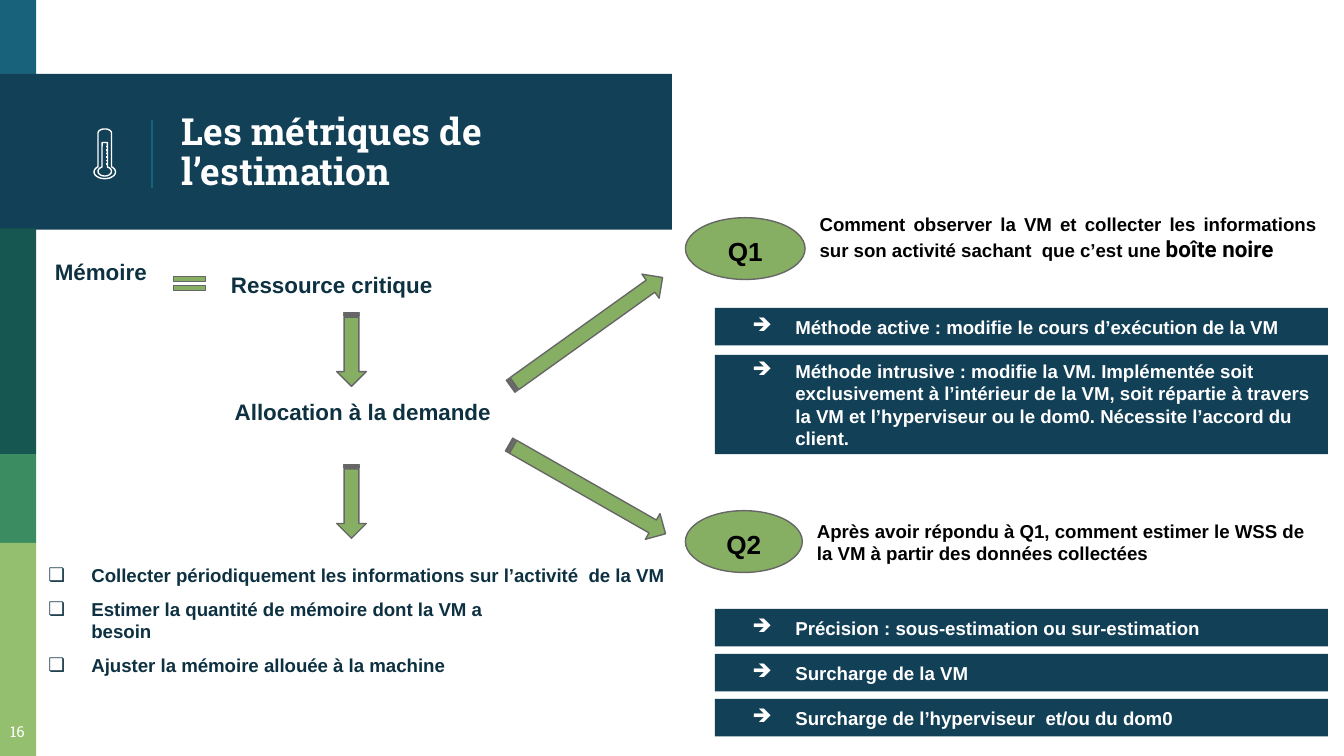
import copy
import math
from dataclasses import dataclass

import lxml.etree
import pptx
import pptx.dml.color
import pptx.enum.shapes
import pptx.enum.text
import pptx.oxml.ns
import pptx.util

SHAPE = pptx.enum.shapes.MSO_SHAPE
ALIGN = pptx.enum.text.PP_ALIGN
ANCHOR = pptx.enum.text.MSO_ANCHOR
qn = pptx.oxml.ns.qn

# The slide is a grid of 100 columns; rows are as high as columns are wide
WIDTH = pptx.util.Inches(10)
CELL = WIDTH / 100
NAVY, INK, TEAL, GREEN = "124057", "0E3142", "18637B", "87AF64"
GREY, WHITE, BLACK = "666666", "FFFFFF", "000000"


@dataclass
class Box:
    col: float
    row: float
    cols: float
    rows: float

    def span(self) -> tuple:
        return tuple(cells(n) for n in (self.col, self.row, self.cols, self.rows))


@dataclass
class Style:
    size: float
    color: str = INK
    font: str = "Arial"
    bold: bool = True
    align: ALIGN = ALIGN.LEFT


@dataclass
class Arrow:
    box: Box
    turn: float


def cells(n: float) -> int:
    return round(n * CELL)


def rgb(code: str) -> pptx.dml.color.RGBColor:
    return pptx.dml.color.RGBColor.from_string(code)


def outline(item, color: str) -> None:
    item.line.color.rgb = rgb(color)
    item.line.width = pptx.util.Pt(0.75)


def dress(run, style: Style) -> None:
    run.font.size = pptx.util.Pt(style.size)
    run.font.name = style.font
    run.font.bold = style.bold
    run.font.color.rgb = rgb(style.color)


def write(item, text: str, style: Style, wrap: bool = True):
    frame = item.text_frame
    frame.text = text
    frame.word_wrap = wrap
    frame.auto_size = pptx.enum.text.MSO_AUTO_SIZE.NONE
    frame.vertical_anchor = ANCHOR.MIDDLE
    frame.margin_left = frame.margin_right = cells(1)
    frame.margin_top = frame.margin_bottom = cells(1)
    for par in frame.paragraphs:
        par.alignment = style.align
        for run in par.runs:
            dress(run, style)
        for gap in par._p.findall(qn("a:br")):
            gap.append(copy.deepcopy(par.runs[0].font._element))
    return frame


def bullet(frame, mark: str, color: str) -> None:
    for par in frame.paragraphs:
        props = par._p.get_or_add_pPr()
        props.set("marL", str(cells(5)))
        props.set("indent", str(cells(-3.2)))
        tint = lxml.etree.SubElement(props, qn("a:buClr"))
        lxml.etree.SubElement(tint, qn("a:srgbClr")).set("val", color)
        lxml.etree.SubElement(props, qn("a:buChar")).set("char", mark)


def shape(slide, kind: SHAPE, box: Box, fill: str, edge: str = ""):
    item = slide.shapes.add_shape(kind, *box.span())
    item.shadow.inherit = False
    item.fill.solid()
    item.fill.fore_color.rgb = rgb(fill)
    if edge:
        outline(item, edge)
    else:
        item.line.fill.background()
    return item


def label(slide, box: Box, text: str, style: Style, wrap: bool = True):
    return write(slide.shapes.add_textbox(*box.span()), text, style, wrap)


def rule(slide, start: tuple, end: tuple, color: str) -> None:
    ends = [cells(n) for n in start + end]
    line = slide.shapes.add_connector(pptx.enum.shapes.MSO_CONNECTOR.STRAIGHT, *ends)
    outline(line, color)
    lxml.etree.SubElement(line.element.spPr, qn("a:effectLst"))


def arc(x: float, y: float, wide: float, high: float, start: float, end: float) -> list:
    turns = [math.radians(start + (end - start) * i / 24) for i in range(25)]
    return [(x + wide * math.cos(t), y + high * math.sin(t)) for t in turns]


def trace(slide, points: list) -> None:
    spots = [(cells(x), cells(y)) for x, y in points]
    build = slide.shapes.build_freeform(*spots[0])
    build.add_line_segments(spots[1:], close=True)
    item = build.convert_to_shape()
    item.shadow.inherit = False
    item.fill.background()
    outline(item, WHITE)


def gauge(slide) -> None:
    """Thermometer: glass, mercury and scale marks."""
    trace(slide, arc(7.8, 9.9, 0.5, 0.3, 0, -180) + arc(7.8, 12.8, 0.8, 0.5, 231, -51))
    trace(slide, [(8, 10.6), (7.6, 10.6)] + arc(7.8, 12.75, 0.5, 0.35, 246, -66))
    for i in range(6):
        row = 10.9 + 0.26 * i
        rule(slide, (7.9, row), (8.05, row), WHITE)


BANDS = [
    (Box(0, 0, 2.7, 5.8), TEAL),
    (Box(0, 5.5, 50, 11.6), NAVY),
    (Box(0, 17, 2.7, 16.8), "165751"),
    (Box(0, 33.8, 2.7, 6.6), "3B8D61"),
    (Box(0, 40.4, 2.7, 15.85), "94BF6E"),
]
ARROWS = [
    Arrow(Box(23.4, 24.9, 5.5, 2.2), 90),
    Arrow(Box(23.4, 36.2, 5.5, 2.2), 90),
    Arrow(Box(36.7, 23.6, 13.9, 2.2), 324.4),
    Arrow(Box(37, 35.3, 13.4, 2.2), 29.7),
]
STEPS = [
    "Collecter périodiquement les informations sur l’activité  de la VM",
    "Estimer la quantité de mémoire dont la VM a\vbesoin",
    "Ajuster la mémoire allouée à la machine",
]
# Row, height and text of each panel
PANELS = [
    (22.9, 2.8, "Méthode active : modifie le cours d’exécution de la VM"),
    (26.4, 7.4, "Méthode intrusive : modifie la VM. Implémentée soit exclusivement "
     "à l’intérieur de la VM, soit répartie à travers la VM et l’hyperviseur "
     "ou le dom0. Nécessite l’accord du client."),
    (45.3, 2.8, "Précision : sous-estimation ou sur-estimation"),
    (48.65, 2.8, "Surcharge de la VM"),
    (52, 2.8, "Surcharge de l’hyperviseur  et/ou du dom0"),
]


def main() -> None:
    deck = pptx.Presentation()
    deck.slide_width, deck.slide_height = WIDTH, cells(56.25)
    slide = deck.slides.add_slide(deck.slide_layouts[1])
    title, body = slide.placeholders

    # Side bands and title banner
    for box, fill in BANDS:
        shape(slide, SHAPE.RECTANGLE, box, fill)
    rule(slide, (11.3, 8.9), (11.3, 14), TEAL)
    gauge(slide)

    # Title and list, brought in front of the bands
    for holder, box in ((title, Box(12.5, 5.8, 35.1, 11.2)),
                        (body, Box(0.8, 41.4, 49.8, 9.5))):
        holder.left, holder.top, holder.width, holder.height = box.span()
        holder.element.getparent().append(holder.element)
    head = write(title, "Les métriques de l’estimation", Style(20, WHITE, "Roboto Slab"))
    head.paragraphs[0].line_spacing = 0.9
    steps = write(body, "\n".join(STEPS), Style(10))
    bullet(steps, "❏", INK)
    for i, par in enumerate(steps.paragraphs):
        par.space_before = pptx.util.Pt(6 if i else 0)
    label(slide, Box(-0.6, 52.7, 3.8, 3.5), "16",
          Style(8, WHITE, "Roboto Slab", False, ALIGN.CENTER))

    # Memory flow
    label(slide, Box(3.1, 18.8, 9.3, 2.8), "Mémoire", Style(12), False)
    equal = shape(slide, SHAPE.MATH_EQUAL, Box(12.5, 20.3, 3.2, 1.6), GREEN, GREY)
    equal.adjustments[0], equal.adjustments[1] = 0.235, 0.194
    label(slide, Box(16.2, 19.8, 17.9, 2.8), "Ressource critique", Style(12))
    label(slide, Box(15.4, 28.9, 23.2, 3.5), "Allocation à la demande",
          Style(12, align=ALIGN.CENTER))
    for arrow in ARROWS:
        shape(slide, SHAPE.STRIPED_RIGHT_ARROW, arrow.box, GREEN, GREY).rotation = arrow.turn

    # Questions
    for name, box in (("Q1", Box(51, 16.2, 8.9, 4.6)), ("Q2", Box(51, 38, 8.7, 4.6))):
        oval = shape(slide, SHAPE.OVAL, box, GREEN, GREY)
        write(oval, name, Style(14, BLACK, align=ALIGN.CENTER)).margin_bottom = cells(0.6)
    ask = Style(10, BLACK, align=ALIGN.JUSTIFY)
    first = label(slide, Box(60, 14.9, 38.9, 5.5),
                  "Comment observer la VM et collecter les informations sur son "
                  "activité sachant  que c’est une ", ask)
    run = first.paragraphs[0].add_run()
    run.text = "boîte noire"
    dress(run, Style(12, BLACK, "Roboto"))
    label(slide, Box(59.8, 37.6, 38.2, 5.5),
          "Après avoir répondu à Q1, comment estimer le WSS de la VM à partir "
          "des données collectées", ask)

    # Answer panels
    for row, rows, text in PANELS:
        panel = shape(slide, SHAPE.RECTANGLE, Box(53.2, row, 45.6, rows), NAVY)
        bullet(write(panel, text, Style(10, WHITE)), "➔", WHITE)

    deck.save("out.pptx")


if __name__ == "__main__":
    main()
